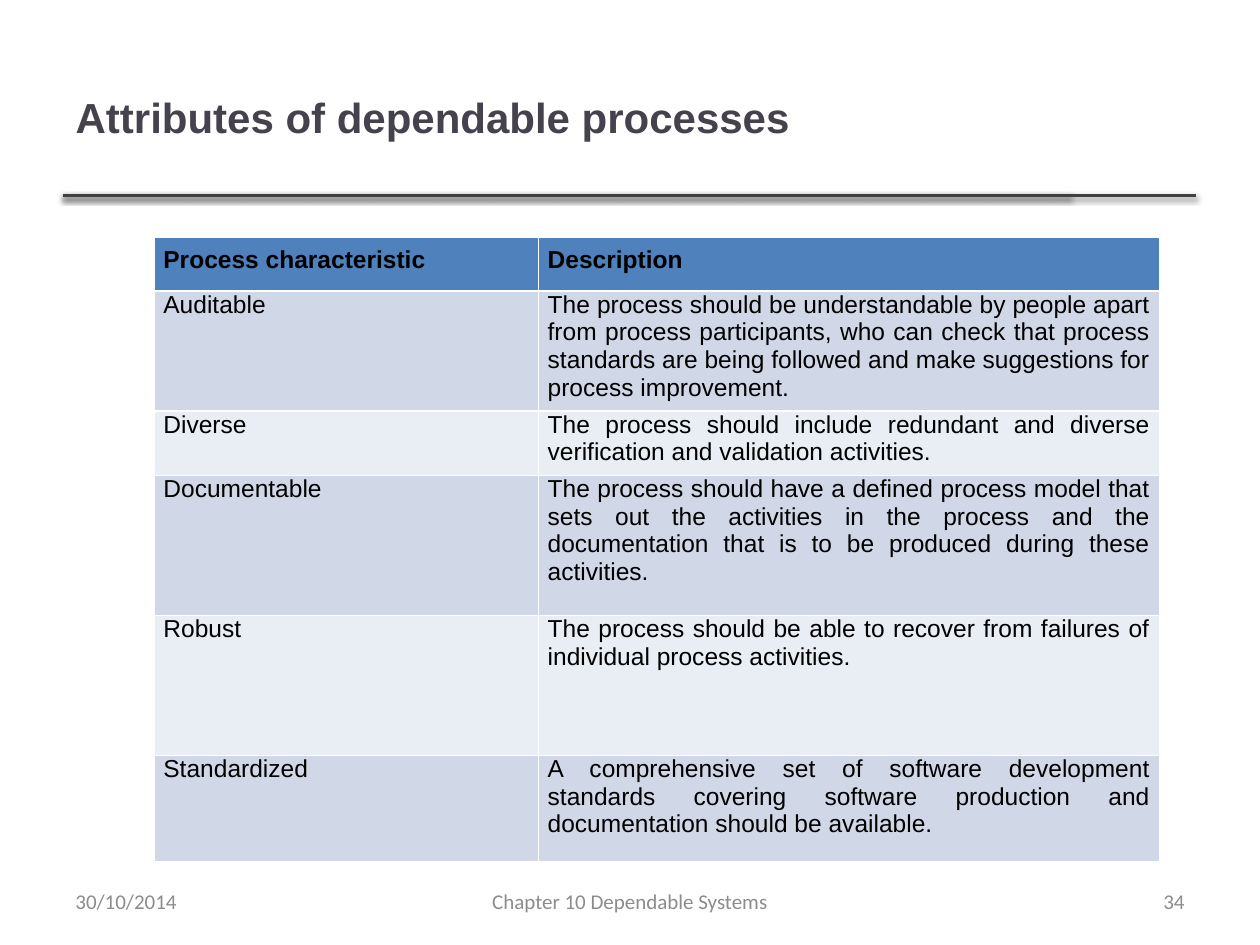
from lxml.etree import SubElement
from pptx import Presentation
from pptx.dml.color import RGBColor
from pptx.enum.shapes import MSO_CONNECTOR
from pptx.enum.text import MSO_ANCHOR, PP_ALIGN
from pptx.oxml.ns import qn
from pptx.util import Pt

# Content
TITLE = "Attributes of dependable processes"
ROWS = [
    ("Process characteristic", "Description"),
    ("Auditable", "The process should be understandable by people apart from process "
     "participants, who can check that process standards are being followed and make "
     "suggestions for process improvement."),
    ("Diverse", "The process should include redundant and diverse verification and "
     "validation activities."),
    ("Documentable", "The process should have a defined process model that sets out the "
     "activities in the process and the documentation that is to be produced during "
     "these activities."),
    ("Robust", "The process should be able to recover from failures of individual "
     "process activities."),
    ("Standardized", "A comprehensive set of software development standards covering "
     "software production and documentation should be available."),
]
ROW_HEIGHTS = [31, 68, 37, 80, 80, 61]
COLUMN_WIDTHS = [219.6, 355]
FOOTERS = [  # text, left, width, alignment
    ("30/10/2014", 36, 168, PP_ALIGN.LEFT),
    ("Chapter 10 Dependable Systems", 246, 228, PP_ALIGN.CENTER),
    ("34", 516, 168, PP_ALIGN.RIGHT),
]
RULE_ENDS = [611.5, 683.5]
MARGIN, RULE_TOP = 36, 111.6
COLORS = {"title": "46424D", "rule": "404040", "text": "000000", "footer": "8C8C8C",
          "header": "4F81BD", "odd": "D0D8E8", "even": "E9EDF4"}


def color(name):
    return RGBColor.from_string(COLORS[name])


def write(frame, text, font, size, color_name, align, bold=False):
    para = frame.paragraphs[0]
    para.alignment = align
    span = para.add_run()
    span.text = text
    span.font.name, span.font.size, span.font.bold = font, Pt(size), bold
    span.font.color.rgb = color(color_name)
    return para


def add_shadow(line):
    effects = SubElement(line._element.spPr, qn("a:effectLst"))
    shadow = SubElement(effects, qn("a:outerShdw"), blurRad=str(Pt(3.1)), dist=str(Pt(1.6)),
                        dir="5400000", rotWithShape="0")
    tint = SubElement(shadow, qn("a:srgbClr"), val="000000")
    SubElement(tint, qn("a:alpha"), val="38000")


deck = Presentation()
deck.slide_width, deck.slide_height = Pt(720), Pt(540)
page = deck.slides.add_slide(deck.slide_layouts[5])

# Title
title = page.shapes.title
title.left, title.top, title.width, title.height = Pt(MARGIN), Pt(21.6), Pt(574.6), Pt(90)
title.text_frame.vertical_anchor = MSO_ANCHOR.MIDDLE
write(title.text_frame, TITLE, "Arial", 24, "title", PP_ALIGN.LEFT, bold=True)

# Rules under the title
for end in RULE_ENDS:
    rule = page.shapes.add_connector(MSO_CONNECTOR.STRAIGHT, Pt(MARGIN), Pt(RULE_TOP),
                                     Pt(end), Pt(RULE_TOP))
    rule.line.color.rgb = color("rule")
    rule.line.width = Pt(2)
    add_shadow(rule)

# Table
table = page.shapes.add_table(len(ROWS), len(COLUMN_WIDTHS), Pt(88), Pt(135.4),
                              Pt(sum(COLUMN_WIDTHS)), Pt(sum(ROW_HEIGHTS))).table
for column, width in zip(table.columns, COLUMN_WIDTHS):
    column.width = Pt(width)
for index, (texts, height) in enumerate(zip(ROWS, ROW_HEIGHTS)):
    table.rows[index].height = Pt(height)
    is_header = index == 0
    fill = "header" if is_header else "odd" if index % 2 else "even"
    for cell, text in zip(table.rows[index].cells, texts):
        cell.margin_left = cell.margin_right = cell.margin_bottom = Pt(5.4)
        cell.margin_top = Pt(5.4 if is_header else 0)
        cell.fill.solid()
        cell.fill.fore_color.rgb = color(fill)
        para = write(cell.text_frame, text, "Arial", 14, "text", PP_ALIGN.JUSTIFY, is_header)
        if not is_header:
            para.space_before = Pt(6)

# Footer
for text, left, width, align in FOOTERS:
    box = page.shapes.add_textbox(Pt(left), Pt(500.5), Pt(width), Pt(28.75))
    box.text_frame.word_wrap = True
    box.text_frame.vertical_anchor = MSO_ANCHOR.MIDDLE
    write(box.text_frame, text, "Calibri", 12, "footer", align)

deck.save("out.pptx")
